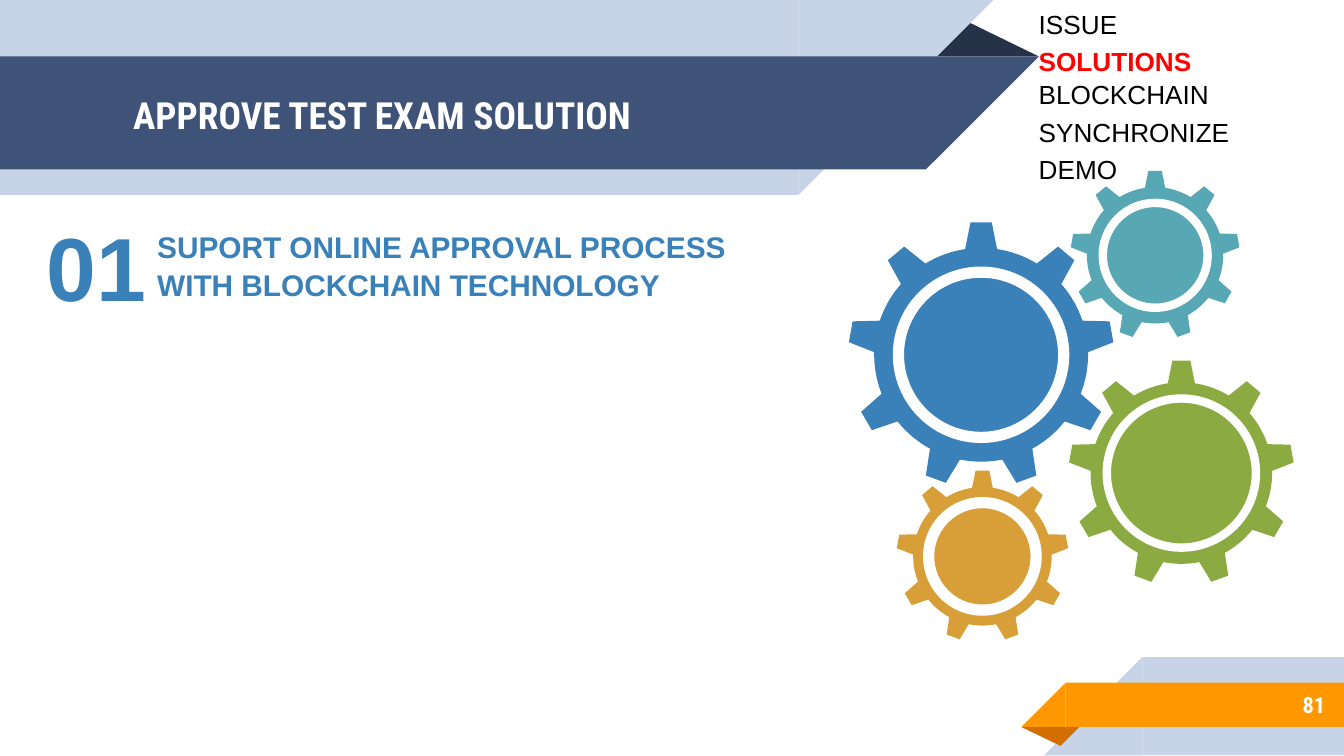
from dataclasses import dataclass
from math import cos, pi, sin

from pptx import Presentation
from pptx.dml.color import RGBColor
from pptx.enum.shapes import MSO_SHAPE
from pptx.enum.text import MSO_ANCHOR, MSO_AUTO_SIZE, PP_ALIGN
from pptx.util import Inches, Pt

RECTANGLE = MSO_SHAPE.RECTANGLE
RIGHT_TRIANGLE = MSO_SHAPE.RIGHT_TRIANGLE
TRIANGLE = MSO_SHAPE.ISOSCELES_TRIANGLE
OVAL = MSO_SHAPE.OVAL
LEFT, CENTER, RIGHT = PP_ALIGN.LEFT, PP_ALIGN.CENTER, PP_ALIGN.RIGHT
TOP, MIDDLE, BOTTOM = MSO_ANCHOR.TOP, MSO_ANCHOR.MIDDLE, MSO_ANCHOR.BOTTOM

# The slide is a grid of 100 columns; rows are as tall as columns are wide
COLUMNS, ROWS = 100, 56.25
SLIDE_WIDTH = Inches(10)
CELL = SLIDE_WIDTH / COLUMNS


@dataclass(frozen=True)
class Theme:
    white: str = "FFFFFF"
    black: str = "000000"
    red: str = "FF0000"
    pale: str = "C7D3E6"
    navy: str = "3F5378"
    dark: str = "263248"
    orange: str = "FF9800"
    rust: str = "D26F00"
    blue: str = "3A81BA"
    green: str = "8BAB42"
    gold: str = "D89F39"
    teal: str = "57A7B5"
    heading_font: str = "Roboto Condensed"
    body_font: str = "Arial"
    title_size: int = 20
    page_size: int = 12
    number_size: int = 48
    point_size: int = 16
    agenda_size: int = 14
    line_spacing: float = 1.05
    agenda_gap: float = 2.5


THEME = Theme()


@dataclass(frozen=True)
class Box:
    left: float
    top: float
    width: float
    height: float

    def emu(self) -> list[int]:
        return [cells(value) for value in (self.left, self.top, self.width, self.height)]


@dataclass(frozen=True)
class Ribbon:
    body: Box
    color: str
    in_header: bool


@dataclass(frozen=True)
class Gear:
    center_x: float
    center_y: float
    radius: float
    hub: float
    ring: float
    color: str


@dataclass(frozen=True)
class Label:
    text: str
    box: Box
    size: int
    font: str
    color: str
    align: PP_ALIGN
    anchor: MSO_ANCHOR
    margin: float = 0
    spacing: float = 1


HEADER_RIBBONS = [
    Ribbon(Box(0, 0, 59.4, 14.5), THEME.pale, True),
    Ribbon(Box(0, 4.2, 68.9, 8.4), THEME.navy, True),
]
FOOTER_RIBBONS = [
    Ribbon(Box(85, 48.9, 15, 7.3), THEME.pale, False),
    Ribbon(Box(79.3, 50.8, 20.7, 3.3), THEME.orange, False),
]
GEARS = [
    Gear(73, 26.4, 9.88, 12.3, 6, THEME.blue),
    Gear(87.9, 35.2, 8.39, 11.1, 4.5, THEME.green),
    Gear(73.1, 41.4, 6.4, 8, 6, THEME.gold),
    Gear(85.95, 19, 6.3, 7.8, 4.5, THEME.teal),
]
TITLE = Label("APPROVE TEST EXAM SOLUTION", Box(8.9, 4.3, 57.5, 8.4), THEME.title_size,
              THEME.heading_font, THEME.white, LEFT, MIDDLE, 1)
LABELS = [
    Label("81", Box(83.3, 50.7, 16.3, 3.5), THEME.page_size,
          THEME.heading_font, THEME.white, RIGHT, MIDDLE, 1),
    Label("SUPORT ONLINE APPROVAL PROCESS WITH BLOCKCHAIN TECHNOLOGY",
          Box(11.7, 17, 46.6, 5.4), THEME.point_size, THEME.body_font, THEME.blue,
          LEFT, MIDDLE, spacing=THEME.line_spacing),
    Label("01", Box(3.3, 15.7, 7.7, 8.1), THEME.number_size,
          THEME.body_font, THEME.blue, CENTER, BOTTOM),
]
# Each paragraph holds the lines it breaks into
AGENDA = [["ISSUE"], ["SOLUTIONS", "BLOCKCHAIN"], ["SYNCHRONIZE"], ["DEMO"]]
CURRENT = "SOLUTIONS"
AGENDA_BOX = Box(76.3, 0, 24.8, 13.6)

# Gear outline: nine teeth, angles in radians, root as a share of the tip radius
TEETH = 9
ROOT_SHARE = 0.805
TIP_HALF_ANGLE, ROOT_HALF_ANGLE = 0.08, 0.15
ARC_STEPS = 8


def cells(count: float) -> int:
    return round(count * CELL)


def rgb(color: str) -> RGBColor:
    return RGBColor.from_string(color)


def apply_format(target, values: dict) -> None:
    for name, value in values.items():
        setattr(target, name, value)


def paint(shape, color: str) -> None:
    shape.shadow.inherit = False
    shape.fill.solid()
    shape.fill.fore_color.rgb = rgb(color)
    shape.line.fill.background()


def add_preset(slide, kind, box: Box, color: str, rotation: float = 0, flip: bool = False):
    shape = slide.shapes.add_shape(kind, *box.emu())
    paint(shape, color)
    shape.rotation = rotation
    if flip:
        shape._element.spPr.get_or_add_xfrm().set("flipH", "1")
    return shape


def add_fold(slide, box: Box, color: str, rotation: float = 0) -> None:
    add_preset(slide, TRIANGLE, box, color, rotation).adjustments[0] = 0.324


def add_ribbon(slide, ribbon: Ribbon) -> None:
    body = ribbon.body
    tip_left = body.left + body.width if ribbon.in_header else body.left - body.height
    tip = Box(tip_left, body.top, body.height, body.height)
    add_preset(slide, RECTANGLE, body, ribbon.color)
    add_preset(slide, RIGHT_TRIANGLE, tip, ribbon.color, 180 if ribbon.in_header else 0, True)


def gear_outline(gear: Gear) -> list[tuple[int, int]]:
    pitch, root = 2 * pi / TEETH, gear.radius * ROOT_SHARE
    arc = (pitch - 2 * ROOT_HALF_ANGLE) / ARC_STEPS
    polar = []
    for tooth in range(TEETH):
        middle = tooth * pitch
        polar += [(gear.radius, middle - TIP_HALF_ANGLE), (gear.radius, middle + TIP_HALF_ANGLE)]
        polar += [(root, middle + ROOT_HALF_ANGLE + step * arc) for step in range(ARC_STEPS + 1)]
    return [(cells(gear.center_x + radius * sin(angle)), cells(gear.center_y - radius * cos(angle)))
            for radius, angle in polar]


def add_gear(slide, gear: Gear) -> None:
    start, *others = gear_outline(gear)
    builder = slide.shapes.build_freeform(*start)
    builder.add_line_segments(others, close=True)
    paint(builder.convert_to_shape(), gear.color)
    hub_box = Box(gear.center_x - gear.hub / 2, gear.center_y - gear.hub / 2, gear.hub, gear.hub)
    hub = add_preset(slide, OVAL, hub_box, gear.color)
    hub.line.color.rgb = rgb(THEME.white)
    hub.line.width = Pt(gear.ring)


def format_frame(frame, anchor: MSO_ANCHOR, across: float, down: float) -> None:
    apply_format(frame, {
        "word_wrap": True, "auto_size": MSO_AUTO_SIZE.NONE, "vertical_anchor": anchor,
        "margin_left": cells(across), "margin_right": cells(across),
        "margin_top": cells(down), "margin_bottom": cells(down)})


def add_run(paragraph, text: str, size: int, font: str, color: str, bold: bool) -> None:
    run = paragraph.add_run()
    run.text = text
    apply_format(run.font, {"size": Pt(size), "name": font, "bold": bold})
    run.font.color.rgb = rgb(color)


def write_label(shape, label: Label) -> None:
    format_frame(shape.text_frame, label.anchor, label.margin, label.margin)
    paragraph = shape.text_frame.paragraphs[0]
    apply_format(paragraph, {"alignment": label.align, "line_spacing": label.spacing})
    add_run(paragraph, label.text, label.size, label.font, label.color, True)


def add_agenda(slide) -> None:
    frame = slide.shapes.add_textbox(*AGENDA_BOX.emu()).text_frame
    format_frame(frame, TOP, 1, 0.5)
    for index, lines in enumerate(AGENDA):
        paragraph = frame.add_paragraph() if index else frame.paragraphs[0]
        paragraph.line_spacing = THEME.line_spacing
        if index:
            paragraph.space_before = Pt(THEME.agenda_gap)
        for number, line in enumerate(lines):
            if number:
                paragraph.add_line_break()
            active = line == CURRENT
            add_run(paragraph, line, THEME.agenda_size, THEME.body_font,
                    THEME.red if active else THEME.black, active)


def main() -> None:
    presentation = Presentation()
    presentation.slide_width, presentation.slide_height = SLIDE_WIDTH, cells(ROWS)
    slide = presentation.slides.add_slide(presentation.slide_layouts[5])

    # Header and footer ribbons, each with a fold behind
    add_fold(slide, Box(68.8, 1.4, 8.5, 2.8), THEME.dark)
    for ribbon in HEADER_RIBBONS:
        add_ribbon(slide, ribbon)
    for ribbon in FOOTER_RIBBONS:
        add_ribbon(slide, ribbon)
    add_fold(slide, Box(76, 54.1, 4.3, 1.4), THEME.rust, 180)

    # Title placeholder, brought in front of the ribbons
    title = slide.shapes.title
    apply_format(title, dict(zip(("left", "top", "width", "height"), TITLE.box.emu())))
    slide.shapes._spTree.append(title._element)
    write_label(title, TITLE)

    # Text and gears
    for label in LABELS:
        write_label(slide.shapes.add_textbox(*label.box.emu()), label)
    add_agenda(slide)
    for gear in GEARS:
        add_gear(slide, gear)

    presentation.save("out.pptx")


if __name__ == "__main__":
    main()
